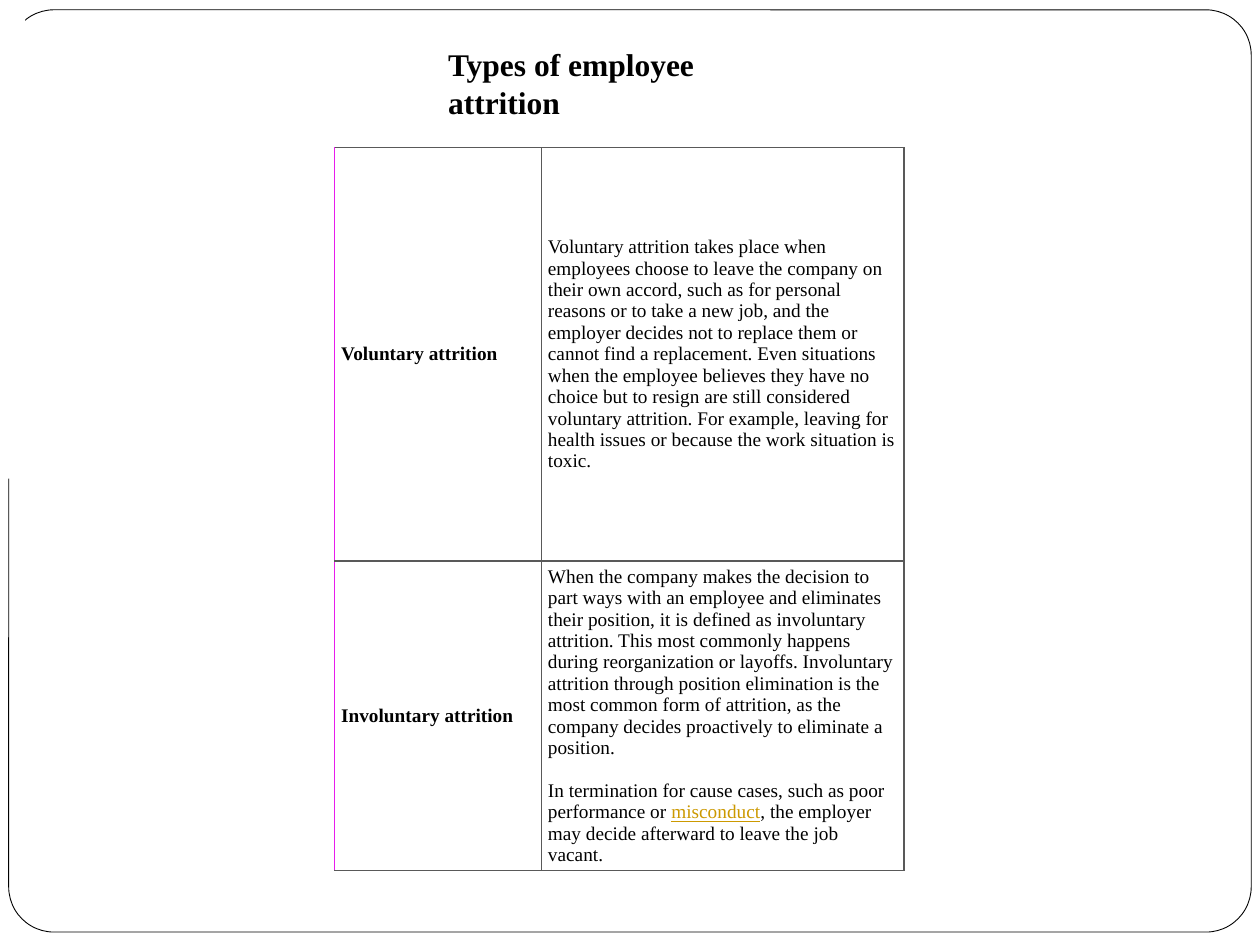
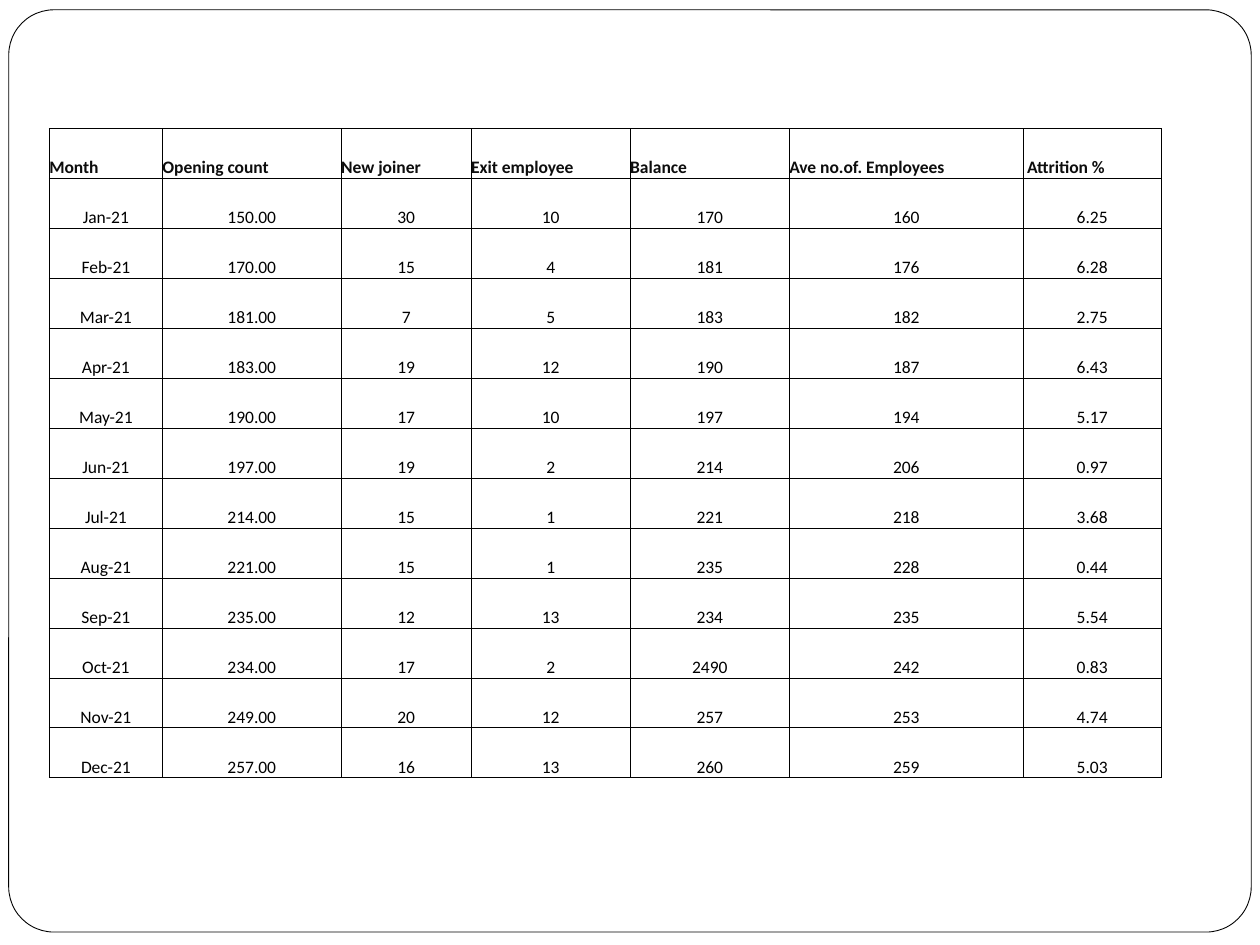
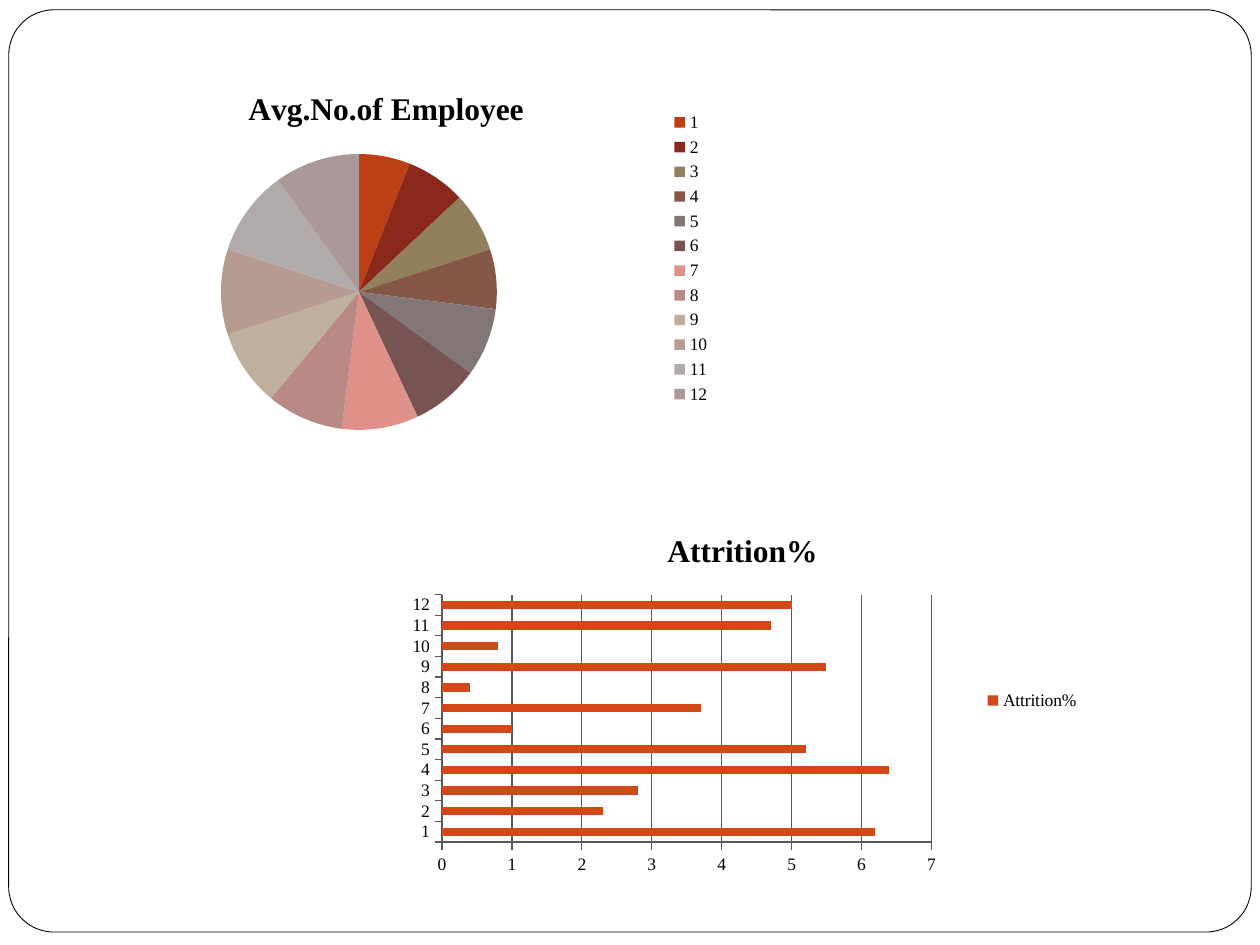
from lxml import etree
from pptx import Presentation
from pptx.chart.data import CategoryChartData
from pptx.dml.color import RGBColor
from pptx.enum.chart import XL_CHART_TYPE, XL_LEGEND_POSITION, XL_TICK_MARK
from pptx.enum.shapes import MSO_SHAPE
from pptx.enum.text import MSO_ANCHOR, MSO_AUTO_SIZE, PP_ALIGN
from pptx.oxml import parse_xml
from pptx.oxml.ns import nsdecls, qn
from pptx.util import Pt

ROUNDED, RECTANGLE = MSO_SHAPE.ROUNDED_RECTANGLE, MSO_SHAPE.RECTANGLE
MIDDLE, BOTTOM = MSO_ANCHOR.MIDDLE, MSO_ANCHOR.BOTTOM
LEFT, CENTER = PP_ALIGN.LEFT, PP_ALIGN.CENTER
PIE, BAR = XL_CHART_TYPE.PIE, XL_CHART_TYPE.BAR_CLUSTERED
LEGEND_RIGHT = XL_LEGEND_POSITION.RIGHT
TICK_OUTSIDE = XL_TICK_MARK.OUTSIDE

color = RGBColor.from_string
BLACK, WHITE, HEADER_TEXT = "000000", "FFFFFF", "0D0D0D"
GRAY, MAGENTA, GOLD, ORANGE = "595959", "E81CED", "CC9900", "D34817"
SERIF, SANS = "Times New Roman", "Calibri"


def write(paragraph, text, font=SERIF, size=11, ink=BLACK, bold=False,
          underline=False, align=LEFT):
    """Add one formatted run to the paragraph."""
    run = paragraph.add_run()
    run.text = text
    run.font.name = font
    run.font.size = Pt(size)
    run.font.bold = bold
    run.font.underline = underline
    run.font.color.rgb = color(ink)
    paragraph.alignment = align


def style_cell(cell, anchor, margins, border_width, border, left_border):
    """Set anchor, margins (side, top), no fill and the four borders."""
    side, top = margins
    cell.vertical_anchor = anchor
    cell.margin_left = cell.margin_right = Pt(side)
    cell.margin_top = cell.margin_bottom = Pt(top)
    cell.fill.background()
    edges = {"lnL": left_border, "lnR": border, "lnT": border, "lnB": border}
    properties = cell._tc.get_or_add_tcPr()
    for position, (edge, ink) in enumerate(edges.items()):
        properties.insert(position, parse_xml(
            f'<a:{edge} {nsdecls("a")} w="{Pt(border_width)}"><a:solidFill>'
            f'<a:srgbClr val="{ink}"/></a:solidFill></a:{edge}>'))


prs = Presentation()
prs.slide_width, prs.slide_height = Pt(720), Pt(540)

slides = []
for _ in range(3):
    slide = prs.slides.add_slide(prs.slide_layouts[6])
    frame = slide.shapes.add_shape(ROUNDED, Pt(5), Pt(5.6), Pt(710), Pt(527))
    frame.adjustments[0] = 0.049
    frame.shadow.inherit = False
    frame.fill.solid()
    frame.fill.fore_color.rgb = color(WHITE)
    frame.line.color.rgb = color(BLACK)
    frame.line.width = Pt(0.5)
    slides.append(slide)
types_slide, months_slide, charts_slide = slides

# Slide 1: types of attrition
attrition_types = [
    ("Voluntary attrition", 236.2, [[
        ("Voluntary attrition takes place when employees choose to leave the "
         "company on their own accord, such as for personal reasons or to take "
         "a new job, and the employer decides not to replace them or cannot "
         "find a replacement. Even situations when the employee believes they "
         "have no choice but to resign are still considered voluntary "
         "attrition. For example, leaving for health issues or because the "
         "work situation is toxic.", {})]]),
    ("Involuntary attrition", 177.1, [
        [("When the company makes the decision to part ways with an employee "
          "and eliminates their position, it is defined as involuntary "
          "attrition. This most commonly happens during reorganization or "
          "layoffs. Involuntary attrition through position elimination is the "
          "most common form of attrition, as the company decides proactively "
          "to eliminate a position.", {})],
        [("In termination for cause cases, such as poor performance or ", {}),
         ("misconduct", {"ink": GOLD, "underline": True}),
         (", the employer may decide afterward to leave the job vacant.", {})],
    ]),
]
types_table = types_slide.shapes.add_table(
    2, 2, Pt(191.2), Pt(84.4), Pt(325.4), Pt(413.3)).table
types_table.first_row = types_table.horz_banding = False
types_table.columns[0].width, types_table.columns[1].width = Pt(118.2), Pt(207.2)
for row, (name, height, paragraphs) in enumerate(attrition_types):
    types_table.rows[row].height = Pt(height)
    name_cell, meaning_cell = types_table.cell(row, 0), types_table.cell(row, 1)
    style_cell(name_cell, MIDDLE, (3.75, 2), 0.75, GRAY, MAGENTA)
    style_cell(meaning_cell, MIDDLE, (3.75, 2), 0.75, GRAY, GRAY)
    write(name_cell.text_frame.paragraphs[0], name, bold=True)
    meaning = meaning_cell.text_frame
    for number, runs in enumerate(paragraphs):
        paragraph = meaning.add_paragraph() if number else meaning.paragraphs[0]
        paragraph.space_before = Pt(12.2 * number)
        for text, style in runs:
            write(paragraph, text, **style)

edge_cover = types_slide.shapes.add_shape(RECTANGLE, 0, 0, Pt(14.4), Pt(273.6))
edge_cover.shadow.inherit = False
edge_cover.fill.solid()
edge_cover.fill.fore_color.rgb = color(WHITE)
edge_cover.line.fill.background()

heading = types_slide.shapes.add_textbox(
    Pt(249), Pt(22.3), Pt(222), Pt(29)).text_frame
heading.word_wrap = True
heading.auto_size = MSO_AUTO_SIZE.SHAPE_TO_FIT_TEXT
write(heading.paragraphs[0], "Types of employee attrition", size=18, bold=True)

# Slide 2: monthly figures
monthly_figures = [
    ("Month", "Opening count", "New joiner", "Exit employee", "Balance",
     "Ave no.of. Employees", " Attrition %"),
    ("Jan-21", "150.00", "30", "10", "170", "160", "6.25"),
    ("Feb-21", "170.00", "15", "4", "181", "176", "6.28"),
    ("Mar-21", "181.00", "7", "5", "183", "182", "2.75"),
    ("Apr-21", "183.00", "19", "12", "190", "187", "6.43"),
    ("May-21", "190.00", "17", "10", "197", "194", "5.17"),
    ("Jun-21", "197.00", "19", "2", "214", "206", "0.97"),
    ("Jul-21", "214.00", "15", "1", "221", "218", "3.68"),
    ("Aug-21", "221.00", "15", "1", "235", "228", "0.44"),
    ("Sep-21", "235.00", "12", "13", "234", "235", "5.54"),
    ("Oct-21", "234.00", "17", "2", "2490", "242", "0.83"),
    ("Nov-21", "249.00", "20", "12", "257", "253", "4.74"),
    ("Dec-21", "257.00", "16", "13", "260", "259", "5.03"),
]
column_widths = [64.6, 102.2, 74.3, 90.9, 90.9, 133.7, 78.8]
months_table = months_slide.shapes.add_table(
    len(monthly_figures), len(column_widths),
    Pt(28.2), Pt(73.4), Pt(sum(column_widths)), Pt(371.4)).table
months_table.first_row = months_table.horz_banding = False
for column, width in zip(months_table.columns, column_widths):
    column.width = Pt(width)
for row, figures in enumerate(monthly_figures):
    months_table.rows[row].height = Pt(28.57)
    if row == 0:
        style = {"bold": True, "ink": HEADER_TEXT}
    else:
        style = {"align": CENTER}
    for column, figure in enumerate(figures):
        cell = months_table.cell(row, column)
        style_cell(cell, BOTTOM, (0, 0), 0.5, BLACK, BLACK)
        write(cell.text_frame.paragraphs[0], figure, font=SANS, size=10, **style)

# Slide 3: charts
chart_plans = [
    (PIE, "Avg.No.of Employee", (28.1, 39.6, 385.2, 216),
     [6, 7, 7, 7, 8, 8, 9, 9, 9, 10, 10, 10]),
    (BAR, "Attrition%", (224.6, 292.3, 399.6, 216),
     [6.2, 2.3, 2.8, 6.4, 5.2, 1, 3.7, 0.4, 5.5, 0.8, 4.7, 5]),
]
charts = []
for kind, title, place, values in chart_plans:
    data = CategoryChartData()
    data.categories = [str(month) for month in range(1, 13)]
    data.add_series(title, values)
    chart = charts_slide.shapes.add_chart(kind, *map(Pt, place), data).chart
    chart.font.name = SERIF
    chart.font.size = Pt(10)
    chart.font.color.rgb = color(BLACK)
    chart.has_title = True
    write(chart.chart_title.text_frame.paragraphs[0], title, size=18, bold=True,
          align=CENTER)
    chart.chart_title.include_in_layout = False
    chart.has_legend = True
    chart.legend.position = LEGEND_RIGHT
    chart.legend.include_in_layout = False
    charts.append(chart)
employee_chart, attrition_chart = charts

slice_colors = ["BB4014", "8A281B", "917F5E", "855747", "827676", "775353",
                "DF9089", "B98986", "BFB09D", "B69B93", "B0AAAA", "AC9899"]
employee_chart.plots[0].vary_by_categories = True
employees = employee_chart.plots[0].series[0]
for index, slice_color in enumerate(slice_colors):
    slice_fill = employees.points[index].format.fill
    slice_fill.solid()
    slice_fill.fore_color.rgb = color(slice_color)

bars = attrition_chart.plots[0]
bars.vary_by_categories = False
bars.gap_width = 150
bars.series[0].format.fill.solid()
bars.series[0].format.fill.fore_color.rgb = color(ORANGE)
months_axis, percent_axis = attrition_chart.category_axis, attrition_chart.value_axis
percent_axis.minimum_scale, percent_axis.maximum_scale = 0, 7
percent_axis.major_unit = 1
percent_axis.has_major_gridlines = True
for axis in (months_axis, percent_axis):
    axis.major_tick_mark = TICK_OUTSIDE
for line in (months_axis.format.line, percent_axis.format.line,
             percent_axis.major_gridlines.format.line):
    line.color.rgb = color(GRAY)
    line.width = Pt(0.75)

plot_area = attrition_chart._chartSpace.chart.plotArea
for automatic in plot_area.findall(qn("c:layout")):
    plot_area.remove(automatic)
layout = etree.Element(qn("c:layout"))
manual = etree.SubElement(layout, qn("c:manualLayout"))
for tag, value in [("layoutTarget", "inner"), ("xMode", "edge"), ("yMode", "edge"),
                   ("x", "0.07"), ("y", "0.22"), ("w", "0.7"), ("h", "0.655")]:
    etree.SubElement(manual, qn(f"c:{tag}")).set("val", value)
plot_area.insert(0, layout)

prs.save("out.pptx")
